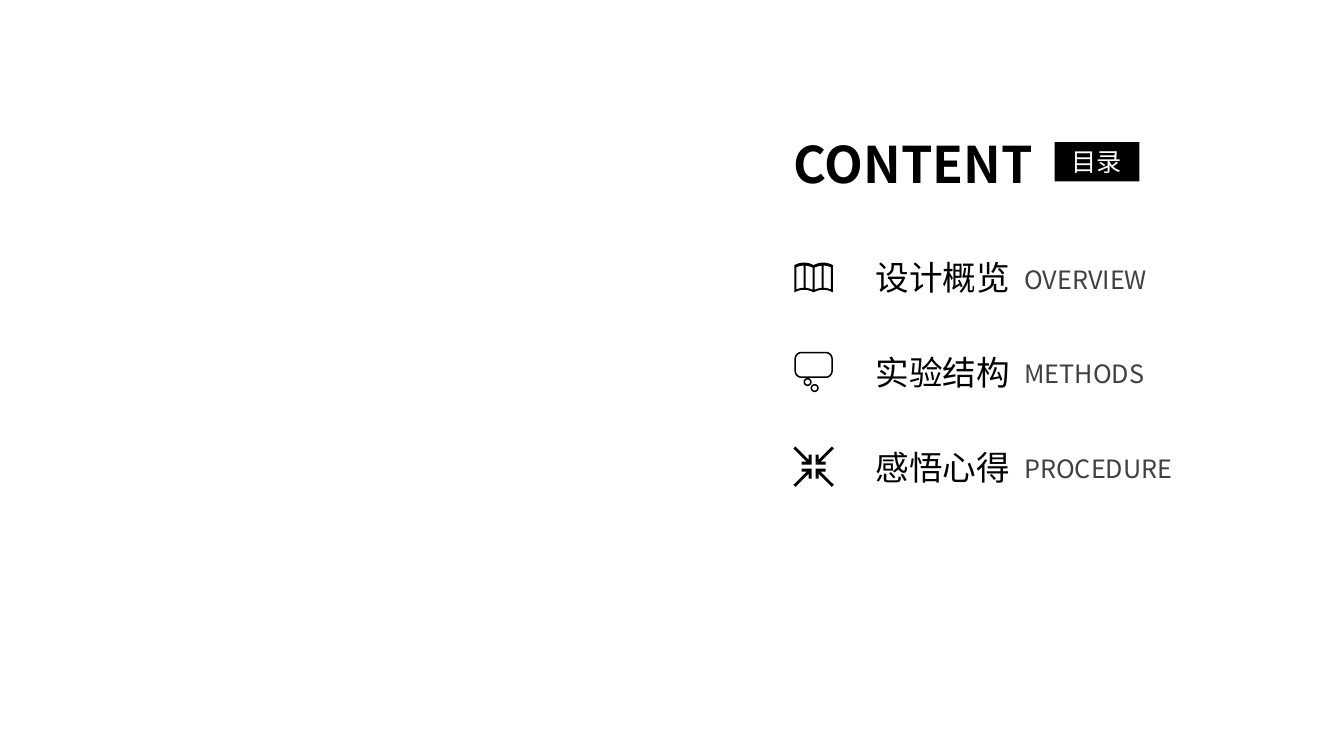
from math import cos, sin, tau, copysign

from lxml.etree import SubElement
from pptx import Presentation
from pptx.dml.color import RGBColor
from pptx.enum.shapes import MSO_SHAPE
from pptx.enum.text import MSO_ANCHOR, MSO_AUTO_SIZE, PP_ALIGN
from pptx.oxml.ns import qn
from pptx.util import Inches, Pt

COLORS = {"black": "000000", "grey": "404040", "white": "FFFFFF"}
FONT = "Noto Sans CJK SC"


def write(box, text, size, color, align=PP_ALIGN.LEFT, bold=False):
    para = box.text_frame.paragraphs[0]
    para.alignment = align
    span = para.add_run()
    span.text = text
    span.font.size = Pt(size)
    span.font.bold = bold
    span.font.name = FONT
    span.font.color.rgb = RGBColor.from_string(COLORS[color])
    SubElement(span.font._element, qn("a:ea"), typeface=FONT)


def draw_icon(page, contours):
    builder = None
    for contour in contours:
        points = [(Inches(x), Inches(y)) for x, y in contour]
        if builder is None:
            builder = page.shapes.build_freeform(*points[0])
        else:
            builder.move_to(*points[0])
        builder.add_line_segments(points[1:], close=True)
    icon = builder.convert_to_shape()
    icon.shadow.inherit = False
    icon.fill.solid()
    icon.fill.fore_color.rgb = RGBColor.from_string(COLORS["black"])
    icon.line.fill.background()


deck = Presentation()
deck.slide_width, deck.slide_height = Inches(13.33), Inches(7.5)
page = deck.slides.add_slide(deck.slide_layouts[5])

# Heading
title = page.shapes.title
title.left, title.top = Inches(7.77), Inches(1.27)
title.width, title.height = Inches(3.23), Inches(0.71)
title.text_frame.vertical_anchor = MSO_ANCHOR.TOP
title.text_frame.auto_size = MSO_AUTO_SIZE.SHAPE_TO_FIT_TEXT
write(title, "CONTENT", 36, "black", bold=True)

# Black tag beside the heading
tag = page.shapes.add_shape(MSO_SHAPE.RECTANGLE, Inches(10.46), Inches(1.41),
                            Inches(0.84), Inches(0.39))
tag.shadow.inherit = False
tag.fill.solid()
tag.fill.fore_color.rgb = RGBColor.from_string(COLORS["black"])
tag.line.fill.background()
tag.text_frame.vertical_anchor = MSO_ANCHOR.MIDDLE
write(tag, "目录", 18, "white", PP_ALIGN.CENTER)

# Three agenda rows
rows = [("设计概览", "OVERVIEW"), ("实验结构", "METHODS"), ("感悟心得", "PROCEDURE")]
for index, (chinese, english) in enumerate(rows):
    top = 2.5 + 0.94 * index
    for text, left, down, width, height, size, color, align in (
        (chinese, 8.42, 0, 1.86, 0.5, 24, "black", PP_ALIGN.CENTER),
        (english, 10.16, 0.07, 2.68, 0.4, 18, "grey", PP_ALIGN.LEFT),
    ):
        box = page.shapes.add_textbox(Inches(left), Inches(top + down),
                                      Inches(width), Inches(height))
        frame = box.text_frame
        frame.word_wrap = True
        frame.auto_size = MSO_AUTO_SIZE.SHAPE_TO_FIT_TEXT
        frame.margin_left = frame.margin_right = 0
        write(box, text, size, color, align)

# Map icon: wavy outline with four panels cut out
map_left, fold = 7.88, 0.19
map_contours = []
for start, width, upper, lower in (
    (0, 2 * fold, 2.63, 2.9),
    (0.02, 0.07, 2.66, 2.88), (0.11, 0.07, 2.66, 2.88),
    (0.2, 0.07, 2.66, 2.88), (0.29, 0.07, 2.66, 2.88),
):
    edges = []
    for base in (upper, lower):
        edge = []
        for step in range(21):
            offset = start + width * step / 20
            phase = offset % fold / fold
            edge.append((map_left + offset, base - 0.1 * phase * (1 - phase)))
        edges.append(edge)
    map_contours.append(edges[0] + edges[1][::-1])
draw_icon(page, map_contours)

# Thought bubble icon: rings given by centre, half width, half height, radius
bubble_contours = []
for x, y, half_width, half_height, radius in (
    (8.07, 3.62, 0.19, 0.13, 0.07),
    (8.01, 3.79, 0.04, 0.04, 0.04),
    (8.08, 3.85, 0.04, 0.04, 0.04),
):
    for inset in (0, 0.015):
        corner = radius - inset
        contour = []
        for step in range(40):
            angle = tau * (step + 0.5) / 40
            contour.append((
                x + copysign(half_width - radius, cos(angle)) + corner * cos(angle),
                y + copysign(half_height - radius, sin(angle)) + corner * sin(angle),
            ))
        bubble_contours.append(contour)
draw_icon(page, bubble_contours)

# Converging arrows icon: one arrow mirrored into four quadrants
arrow = [(0.02, 0.02), (0.12, 0.02), (0.12, 0.05), (0.07, 0.05), (0.2, 0.18),
         (0.18, 0.2), (0.05, 0.07), (0.05, 0.12), (0.02, 0.12)]
draw_icon(page, [[(8.07 + across * x, 4.63 + down * y) for x, y in arrow]
                 for across in (-1, 1) for down in (-1, 1)])

deck.save("out.pptx")
